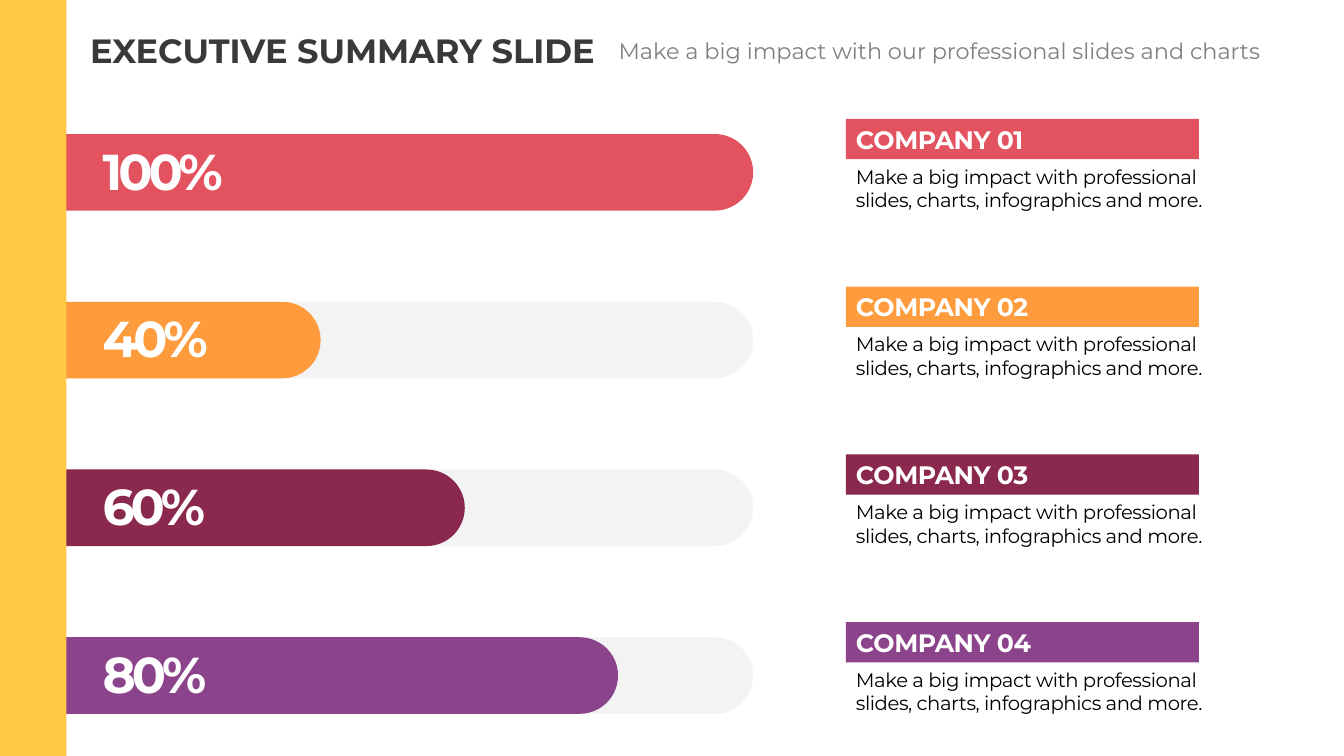
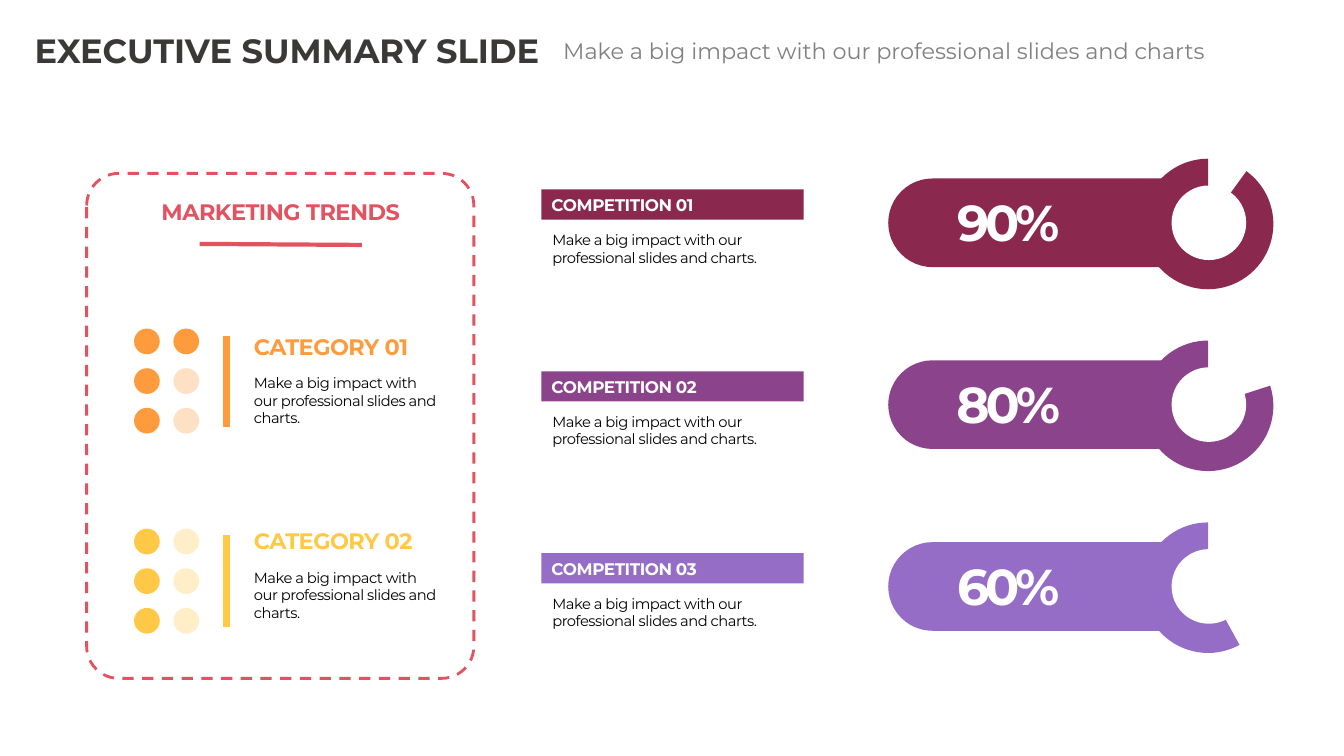
"""Build two executive summary slides with progress bars, dot ratings and ring charts."""
from lxml import etree
from pptx import Presentation
from pptx.chart import data as chart_data
from pptx.dml import color as dml
from pptx.enum import chart as charts, dml as lines, shapes, text
from pptx.oxml import ns, parse_xml
from pptx.util import Inches, Pt

hue = dml.RGBColor.from_string
FONT = "Montserrat"
RED, ORANGE, YELLOW = "E3525F", "FE9B3D", "FFC847"
WINE, PURPLE, LILAC = "8B284D", "8B438C", "956DC7"
WHITE, BLACK, GREY, CHARCOAL, TRACK = "FFFFFF", "000000", "808080", "3B3838", "D9D9D9"
TOP, MIDDLE, BOTTOM = text.MSO_ANCHOR.TOP, text.MSO_ANCHOR.MIDDLE, text.MSO_ANCHOR.BOTTOM
LEFT, CENTER = text.PP_ALIGN.LEFT, text.PP_ALIGN.CENTER
PRESET = shapes.MSO_SHAPE
COMPANY_TEXT = "Make a big impact with professional slides, charts, infographics and more."
SHORT_TEXT = "Make a big impact with our professional slides and charts."
PERCENT = {"size": 36, "color": WHITE, "bold": True, "spacing": -2.9}


def draw(page, kind, at, fill=None, opacity=100, turn=0):
    """Add a flat shape that covers the box at, also when it is turned by a right angle."""
    left, top, width, height = at
    if turn:
        left, top = left + (width - height) / 2, top + (height - width) / 2
        width, height = height, width
    shape = page.shapes.add_shape(kind, *map(Inches, (left, top, width, height)))
    shape.shadow.inherit = False
    shape.rotation = turn
    shape.line.fill.background()
    if kind == PRESET.ROUND_2_SAME_RECTANGLE:
        shape.adjustments[0], shape.adjustments[1] = 0.5, 0
    if not fill:
        shape.fill.background()
        return shape
    shape.fill.solid()
    shape.fill.fore_color.rgb = hue(fill)
    if opacity < 100:
        for tint in shape._element.spPr.iter(ns.qn("a:srgbClr")):
            etree.SubElement(tint, ns.qn("a:alpha")).set("val", str(opacity * 1000))
    return shape


def write(box, wording, size, color, bold=False, spacing=0, align=LEFT, anchor=MIDDLE):
    """Put one formatted paragraph into a shape, a placeholder or a text box."""
    frame = box.text_frame
    settings = {"word_wrap": True, "auto_size": text.MSO_AUTO_SIZE.NONE, "vertical_anchor": anchor}
    for name, value in settings.items():
        setattr(frame, name, value)
    para = frame.paragraphs[0]
    para.alignment = align
    span = para.add_run()
    span.text = wording
    for name, value in {"name": FONT, "size": Pt(size), "bold": bold}.items():
        setattr(span.font, name, value)
    span.font.color.rgb = hue(color)
    if spacing:
        span.font._element.set("spc", str(round(spacing * 100)))


deck = Presentation()
deck.slide_width, deck.slide_height = Inches(13.33), Inches(7.5)

pages = []
for title_left in (0.66, 0.11):
    page = deck.slides.add_slide(deck.slide_layouts[5])
    title = page.shapes.title
    place = {"left": title_left, "top": 0.25, "width": 5.47, "height": 0.5}
    for name, value in place.items():
        setattr(title, name, Inches(value))
    write(title, "EXECUTIVE SUMMARY SLIDE", 24, CHARCOAL, True, align=CENTER, anchor=BOTTOM)
    box = page.shapes.add_textbox(*map(Inches, (title_left + 5.11, 0.32, 7.1, 0.37)))
    write(box, "Make a big impact with our professional slides and charts", 16, GREY,
          align=CENTER, anchor=TOP)
    pages.append(page)
company_page, trend_page = pages

companies = [("100%", 7.14, RED), ("40%", 2.85, ORANGE), ("60%", 4.28, WINE), ("80%", 5.8, PURPLE)]
for row, (share, length, color) in enumerate(companies):
    top = 1.18 + row * 1.664
    if length < 7.14:
        draw(company_page, PRESET.ROUND_2_SAME_RECTANGLE, (0.33, top + 0.15, 7.14, 0.76), TRACK, 30, 90)
    draw(company_page, PRESET.ROUND_2_SAME_RECTANGLE, (0.33, top + 0.15, length, 0.76), color, turn=90)
    box = company_page.shapes.add_textbox(*map(Inches, (0.92, top + 0.15, 2.02, 0.71)))
    write(box, share, **PERCENT)
    header = draw(company_page, PRESET.RECTANGLE, (8.39, top, 3.5, 0.4), color)
    write(header, f"COMPANY {row + 1:02}", 18, WHITE, True, -0.3)
    box = company_page.shapes.add_textbox(*map(Inches, (8.39, top + 0.4, 3.74, 0.57)))
    write(box, COMPANY_TEXT, 14, BLACK, spacing=-0.3)
draw(company_page, PRESET.RECTANGLE, (0, 0, 0.66, 7.5), YELLOW)

panel = draw(trend_page, PRESET.ROUNDED_RECTANGLE, (0.86, 1.72, 3.84, 5.01))
panel.adjustments[0] = 0.083
panel.line.color.rgb = hue(RED)
panel.line.width = Pt(2)
panel.line.dash_style = lines.MSO_LINE.DASH
box = trend_page.shapes.add_textbox(*map(Inches, (1.41, 1.91, 2.75, 0.37)))
write(box, "MARKETING TRENDS", 16, RED, True, -0.3, CENTER, BOTTOM)

rules = [
    ((1.98, 2.42, 3.59, 2.43), RED, 3),
    ((2.25, 3.33, 2.25, 4.24), ORANGE, 5),
    ((2.25, 5.31, 2.25, 6.22), YELLOW, 5),
]
for ends, color, weight in rules:
    rule = trend_page.shapes.add_connector(shapes.MSO_CONNECTOR.STRAIGHT, *map(Inches, ends))
    rule.line.color.rgb = hue(color)
    rule.line.width = Pt(weight)
    etree.SubElement(rule._element.spPr, ns.qn("a:effectLst"))

for row, (color, filled) in enumerate([(ORANGE, 4), (YELLOW, 3)]):
    for dot in range(6):
        column, line = divmod(dot, 3)
        at = (1.33 + column * 0.39, 3.26 + row * 1.985 + line * 0.393, 0.255, 0.255)
        draw(trend_page, PRESET.OVAL, at, color, 100 if dot < filled else 30)
    top = 3.25 + row * 1.93
    box = trend_page.shapes.add_textbox(*map(Inches, (2.42, top, 1.87, 0.37)))
    write(box, f"CATEGORY {row + 1:02}", 16, color, True, -0.3, anchor=BOTTOM)
    box = trend_page.shapes.add_textbox(*map(Inches, (2.42, top + 0.36, 2.01, 0.72)))
    write(box, SHORT_TEXT, 10.5, BLACK, spacing=-0.3)

competitors = [("90%", (10, 90), WINE), ("80%", (20, 80), PURPLE), ("60%", (42, 58), LILAC)]
for row, (share, values, color) in enumerate(competitors):
    middle = 2.21 + row * 1.804
    header = draw(trend_page, PRESET.RECTANGLE, (5.37, middle - 0.33, 2.6, 0.3), color)
    write(header, f"COMPETITION {row + 1:02}", 12, WHITE, True, -0.3, anchor=BOTTOM)
    box = trend_page.shapes.add_textbox(*map(Inches, (5.38, middle + 0.03, 2.6, 0.52)))
    write(box, SHORT_TEXT, 10.5, BLACK, spacing=-0.3, anchor=TOP)
    draw(trend_page, PRESET.ROUND_2_SAME_RECTANGLE, (8.81, middle - 0.44, 2.74, 0.88), color, turn=270)
    box = trend_page.shapes.add_textbox(*map(Inches, (9.36, middle - 0.76, 1.28, 1.5)))
    write(box, share, align=CENTER, **PERCENT)

    numbers = chart_data.CategoryChartData()
    numbers.categories = ["1", "2"]
    numbers.add_series("Series 1", values)
    at = map(Inches, (11.19, middle - 0.78, 1.6, 1.57))
    chart = trend_page.shapes.add_chart(charts.XL_CHART_TYPE.DOUGHNUT, *at, numbers).chart
    chart.has_legend = chart.has_title = False
    for name, value in {"name": "Calibri", "size": Pt(10)}.items():
        setattr(chart.font, name, value)
    chart.font.color.rgb = hue(BLACK)
    ring = chart.plots[0]
    ring.has_data_labels = False
    gap, arc = (ring.series[0].points[index].format for index in range(2))
    gap.fill.background()
    arc.fill.solid()
    arc.fill.fore_color.rgb = hue(color)
    for part in (gap, arc):
        part.line.fill.background()
    body = chart._chartSpace.find(ns.qn("c:chart"))
    body.addnext(parse_xml(f'<c:spPr {ns.nsdecls("c", "a")}><a:noFill/><a:ln><a:noFill/></a:ln></c:spPr>'))
    area = body.find(ns.qn("c:plotArea"))
    for layout in area.findall(ns.qn("c:layout")):
        area.remove(layout)
    layout = etree.Element(ns.qn("c:layout"))
    manual = etree.SubElement(layout, ns.qn("c:manualLayout"))
    frame = {"layoutTarget": "inner", "xMode": "edge", "yMode": "edge",
             "x": 0.09, "y": 0.09, "w": 0.81, "h": 0.83}
    for name, value in frame.items():
        etree.SubElement(manual, ns.qn(f"c:{name}")).set("val", str(value))
    area.insert(0, layout)
    draw(trend_page, PRESET.OVAL, (11.62, middle - 0.37, 0.74, 0.74), WHITE)

deck.save("out.pptx")
